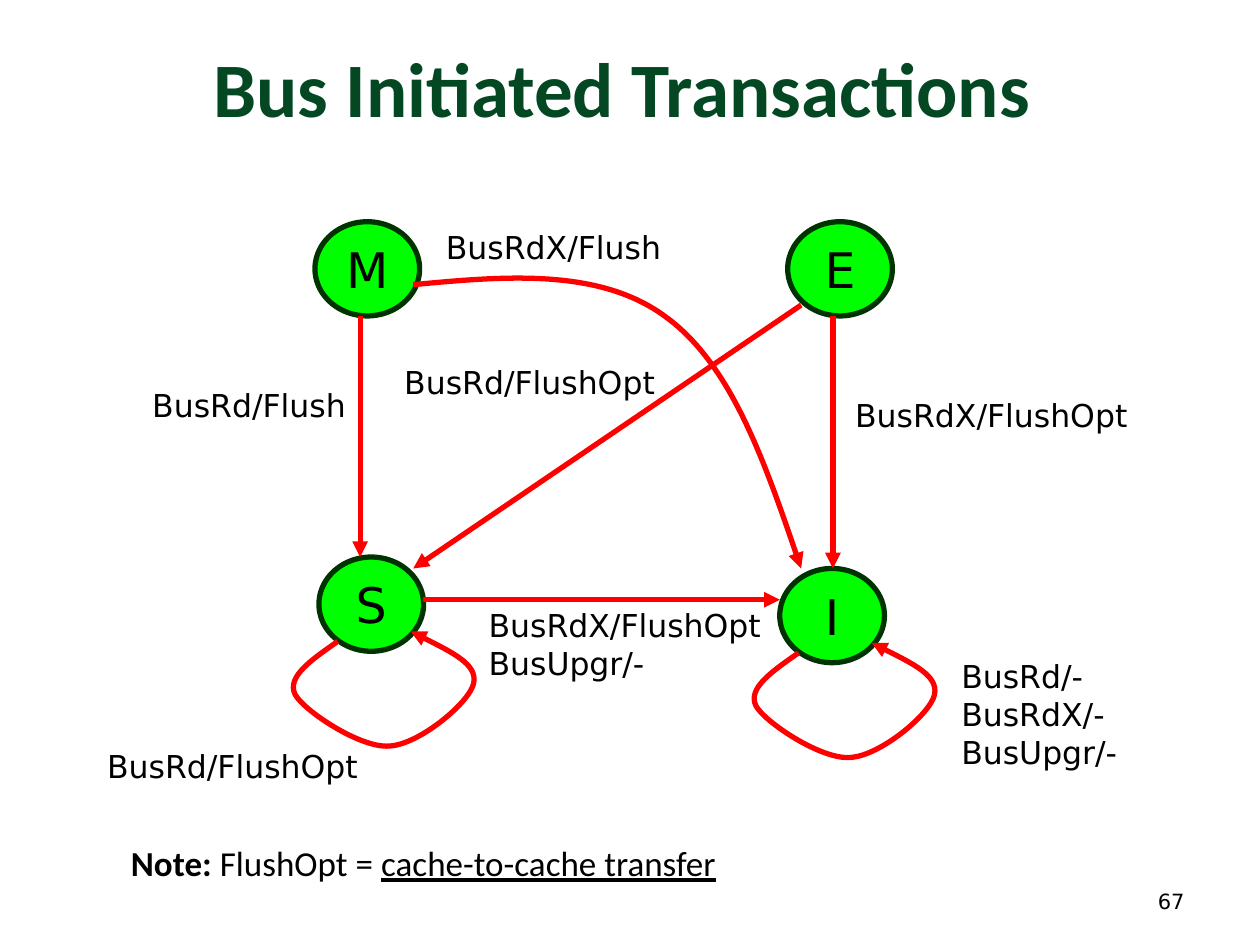
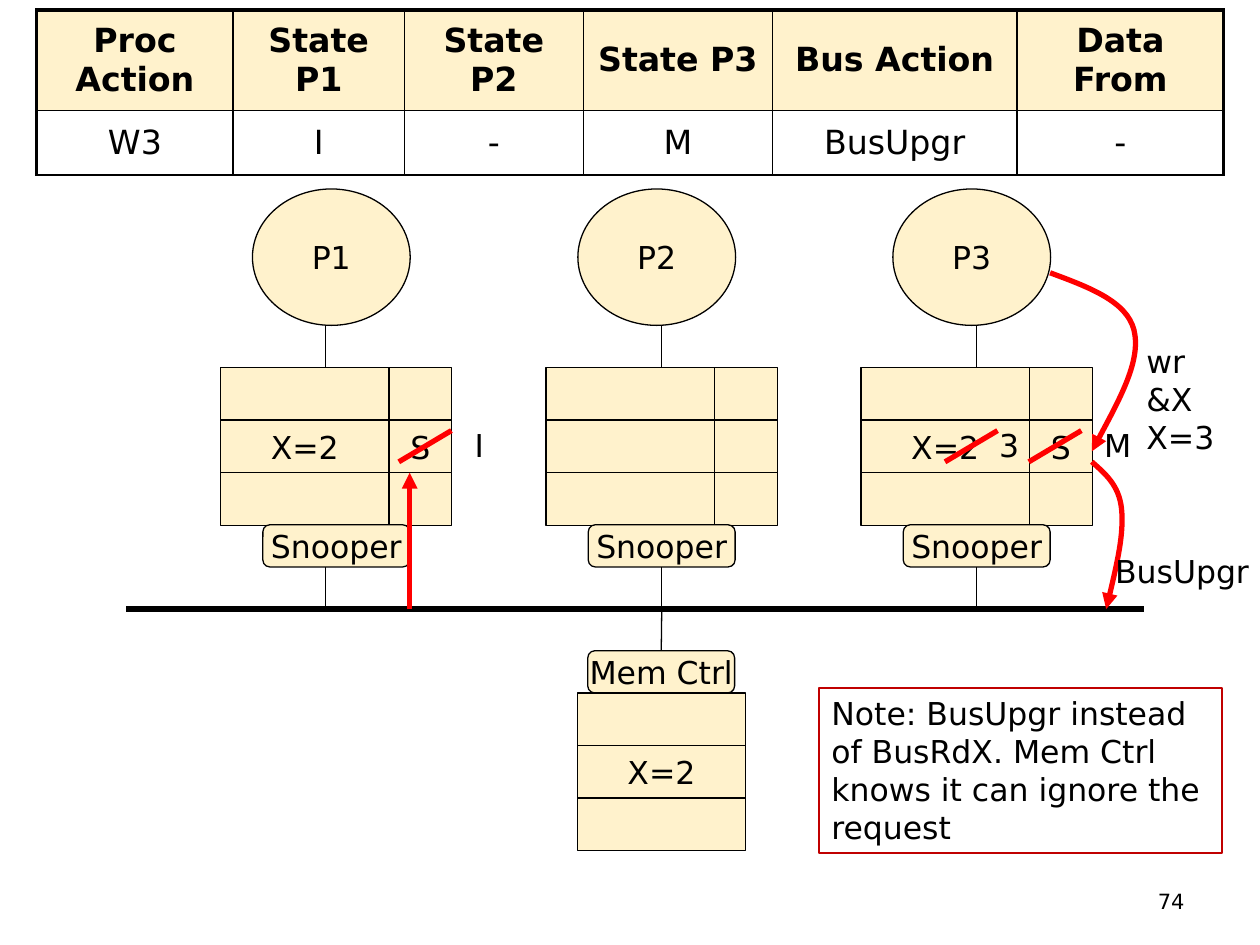
from dataclasses import dataclass

from lxml import etree
from pptx import Presentation
from pptx.dml.color import RGBColor
from pptx.enum import shapes, text
from pptx.oxml.ns import qn
from pptx.util import Cm, Pt


@dataclass(frozen=True)
class Theme:
    title: str = "044823"
    ink: str = "000000"
    state_fill: str = "00FF00"
    state_edge: str = "003300"
    signal: str = "FF0000"
    cream: str = "FFF2CC"
    note_edge: str = "C00000"
    title_font: str = "Calibri"
    font: str = "DejaVu Sans"
    title_size: int = 44
    state_size: int = 28
    remark_size: int = 20
    table_size: int = 19
    label_size: int = 18
    page_size: int = 12
    thin: float = 0.75
    bold_line: float = 3


T = Theme()
rgb = RGBColor.from_string
OVAL, RECT = shapes.MSO_SHAPE.OVAL, shapes.MSO_SHAPE.RECTANGLE
ROUND = shapes.MSO_SHAPE.ROUNDED_RECTANGLE
LEFT, CENTER, RIGHT = text.PP_ALIGN.LEFT, text.PP_ALIGN.CENTER, text.PP_ALIGN.RIGHT
LINE_STEP = 0.76  # height of one more line in a label


def put(slide, words, left, top, width, height=None, kind=None, size=T.label_size,
        align=LEFT, fill=None, edge=T.ink, weight=T.thin):
    """Place a label, or a preset shape when kind is given."""
    if height is None:
        height = 1.02 + LINE_STEP * words.count("\n")
    area = [Cm(v) for v in (left, top, width, height)]
    if kind is None:
        item = slide.shapes.add_textbox(*area)
    else:
        item = slide.shapes.add_shape(kind, *area)
        item.shadow.inherit = False
        item.line.color.rgb = rgb(edge)
        item.line.width = Pt(weight)
        if fill:
            item.fill.solid()
            item.fill.fore_color.rgb = rgb(fill)
        else:
            item.fill.background()
    frame = item.text_frame
    frame.text = words
    frame.word_wrap = False
    frame.vertical_anchor = text.MSO_ANCHOR.TOP if align == LEFT else text.MSO_ANCHOR.MIDDLE
    if align == LEFT:
        frame.auto_size = text.MSO_AUTO_SIZE.SHAPE_TO_FIT_TEXT
    for paragraph in frame.paragraphs:
        paragraph.alignment = align
        paragraph.font.name = T.font
        for run in paragraph.runs:
            run.font.name, run.font.size = T.font, Pt(size)
            run.font.color.rgb = rgb(T.ink)
    return item


def draw(slide, points, colour=T.signal, weight=T.bold_line, arrow=True):
    """Join two points by a straight line, or more as a chain of Bézier curves."""
    ends = [(Cm(x), Cm(y)) for x, y in points]
    if len(ends) == 2:
        stroke = slide.shapes.add_connector(shapes.MSO_CONNECTOR.STRAIGHT, *ends[0], *ends[1])
    else:
        builder = slide.shapes.build_freeform(*ends[0])
        builder.add_line_segments(ends[1:], close=False)
        stroke = builder.convert_to_shape()
        stroke.shadow.inherit = False
        stroke.fill.background()
        # Every three segments become one cubic curve
        outline = next(stroke._element.iter(qn("a:path")))
        segments = outline.findall(qn("a:lnTo"))
        for first in range(0, len(segments), 3):
            curve = etree.SubElement(outline, qn("a:cubicBezTo"))
            for segment in segments[first:first + 3]:
                curve.append(segment[0])
                outline.remove(segment)
    stroke.line.color.rgb = rgb(colour)
    stroke.line.width = Pt(weight)
    properties = stroke._element.spPr
    if arrow:
        etree.SubElement(properties.find(qn("a:ln")), qn("a:tailEnd"), type="triangle")
    if len(ends) == 2:
        etree.SubElement(properties, qn("a:effectLst"))
    return stroke


deck = Presentation()
deck.slide_width, deck.slide_height = Cm(25.4), Cm(19.05)
protocol = deck.slides.add_slide(deck.slide_layouts[5])
example = deck.slides.add_slide(deck.slide_layouts[6])

# Page numbers
for slide, number in ((protocol, "67"), (example, "74")):
    put(slide, number, 18.21, 17.65, 5.92, size=T.page_size, align=RIGHT)

# Slide 1: title
title = protocol.shapes.title
title.left, title.top, title.width, title.height = Cm(0.48), Cm(0.15), Cm(24.13), Cm(3.18)
title.text_frame.text = "Bus Initiated Transactions"
title.text_frame.vertical_anchor = text.MSO_ANCHOR.MIDDLE
heading = title.text_frame.paragraphs[0]
heading.alignment = CENTER
heading_font = heading.runs[0].font
heading_font.name, heading_font.size, heading_font.bold = T.title_font, Pt(T.title_size), True
heading_font.color.rgb = rgb(T.title)

# States
states = {"M": (6.35, 4.47), "E": (15.88, 4.47), "S": (6.43, 11.23), "I": (15.72, 11.46)}
for state, (x, y) in states.items():
    put(protocol, state, x, y, 2.11, 1.9, OVAL, T.state_size, CENTER,
        T.state_fill, T.state_edge, T.bold_line)

# Transitions between states
transitions = [
    [(7.26, 6.38), (7.26, 11.23)],
    [(16.15, 6.15), (8.33, 11.46)],
    [(16.79, 6.38), (16.79, 11.46)],
    [(8.53, 12.09), (15.72, 12.09)],
    [(8.33, 5.74), (10.21, 5.56), (12.09, 5.41), (13.41, 6.38),
     (14.71, 7.32), (15.44, 9.37), (16.15, 11.46)],
]
for points in transitions:
    draw(protocol, points)

# Loops from a state back to itself
loop = [(0.38, 1.7), (-0.13, 2.06), (-0.66, 2.41), (-0.48, 2.77), (-0.3, 3.1),
        (0.84, 3.86), (1.42, 3.81), (2.03, 3.78), (3.05, 2.92), (3.12, 2.54),
        (3.2, 2.16), (2.51, 1.83), (1.85, 1.5)]
for state in "SI":
    x, y = states[state]
    draw(protocol, [(x + dx, y + dy) for dx, dy in loop])

# Transition labels
for words, x, y, width in (
    ("BusRd/Flush", 2.82, 7.65, 4.47),
    ("BusRd/FlushOpt", 7.9, 7.19, 5.61),
    ("BusRdX/FlushOpt", 16.99, 7.85, 6.12),
    ("BusRdX/Flush", 8.74, 4.47, 4.9),
    ("BusRdX/FlushOpt\nBusUpgr/-", 9.6, 12.09, 6.07),
    ("BusRd/FlushOpt", 1.91, 14.94, 5.61),
    ("BusRd/-\nBusRdX/-\nBusUpgr/-", 19.13, 13.13, 3.78),
):
    put(protocol, words, x, y, width)

# Remark on FlushOpt
remark = put(protocol, "", 2.39, 16.84, 12.4, 1.12).text_frame.paragraphs[0]
for words, bold, underline in (("Note: ", True, False), ("FlushOpt = ", False, False),
                               ("cache-to-cache transfer", False, True)):
    run = remark.add_run()
    run.text = words
    run.font.name, run.font.size = T.title_font, Pt(T.remark_size)
    run.font.bold, run.font.underline = bold, underline
    run.font.color.rgb = rgb(T.ink)

# Slide 2: the bus, with processors, caches and snoopers above it
BUS_Y, ROW, DATA, STATE = 12.28, 1.06, 3.39, 1.27
CACHE_TOP, SNOOPER_TOP, STEM_TOP = 7.41, 10.58, 6.56
unit = dict(align=CENTER, fill=T.cream)
wire = dict(colour=T.ink, weight=T.thin, arrow=False)
draw(example, [(2.54, BUS_Y), (23.07, BUS_Y)], T.ink, 3.25, False)
for processor, left, stem, data, state in (
    ("P1", 4.45, 6.56, "X=2", "S"), ("P2", 11.01, 13.34, "", ""),
    ("P3", 17.36, 19.69, "X=2", "S"),
):
    put(example, processor, left + 0.64, 3.81, 3.18, 2.75, OVAL, **unit)
    draw(example, [(stem, STEM_TOP), (stem, CACHE_TOP)], **wire)
    for row in range(3):
        y = CACHE_TOP + row * ROW
        put(example, data if row == 1 else "", left, y, DATA, ROW, RECT, **unit)
        put(example, state if row == 1 else "", left + DATA, y, STATE, ROW, RECT, **unit)
    snooper = put(example, "Snooper", left + 0.85, SNOOPER_TOP, 2.96, 0.85, ROUND, **unit)
    link = draw(example, [(stem, SNOOPER_TOP + 0.85), (stem, BUS_Y)], **wire)
    if processor != "P1":
        link.begin_connect(snooper, 2)

# Memory and its controller below the bus
controller = put(example, "Mem Ctrl", 11.85, 13.12, 2.96, 0.85, ROUND, **unit)
draw(example, [(13.34, BUS_Y), (13.34, 13.12)], **wire).end_connect(controller, 0)
for row, data in enumerate(("", "X=2", "")):
    put(example, data, 11.64, 13.97 + row * ROW, DATA, ROW, RECT, **unit)

# Write by P3, upgrade on the bus, invalidation at P1
draw(example, [(21.17, 5.5), (21.95, 5.79), (22.71, 6.07), (22.86, 6.65),
               (23.01, 7.26), (22.5, 8.18), (22.01, 9.1)])
draw(example, [(22.01, 9.31), (22.28, 9.55), (22.56, 9.78), (22.61, 10.26),
               (22.66, 10.77), (22.48, 11.53), (22.3, BUS_Y)])
draw(example, [(8.26, BUS_Y), (8.26, 9.53)])
for x in (8.04, 19.05, 20.74):
    draw(example, [(x, 9.31), (x + 1.06, 8.68)], arrow=False)
for words, x, y, width in (
    ("wr &X\nX=3", 22.86, 6.78, 2.41), ("BusUpgr", 22.23, 11, 3.2),
    ("I", 9.32, 8.46, 0.79), ("M", 22.01, 8.46, 1.04), ("3", 19.89, 8.46, 0.91),
):
    put(example, words, x, y, width)

# Note on the upgrade
put(example, "Note: BusUpgr instead\nof BusRdX. Mem Ctrl\nknows it can ignore the\nrequest",
    16.51, 13.87, 8.13, 3.33, RECT, edge=T.note_edge, weight=1)

# Table of the step
columns = (3.96, 3.45, 3.61, 3.81, 4.93, 4.17)
heights = (2.03, 1.3)
entries = (("Proc Action", "State P1", "State P2", "State P3", "Bus Action", "Data From"),
           ("W3", "I", "-", "M", "BusUpgr", "-"))
step = example.shapes.add_table(2, 6, Cm(0.74), Cm(0.2), Cm(sum(columns)), Cm(sum(heights))).table
for column, width in zip(step.columns, columns):
    column.width = Cm(width)
for r, (row, height) in enumerate(zip(step.rows, heights)):
    row.height = Cm(height)
    for c, cell in enumerate(row.cells):
        cell.text_frame.text = entries[r][c]
        cell.vertical_anchor = text.MSO_ANCHOR.MIDDLE
        paragraph = cell.text_frame.paragraphs[0]
        paragraph.alignment = CENTER
        font = paragraph.runs[0].font
        font.name, font.size, font.bold = T.font, Pt(T.table_size), r == 0
        font.color.rgb = rgb(T.ink)
        # Heavy border on the left, right and top of the table
        heavy = {"L": c == 0, "R": c == 5, "T": r == 0, "B": False}
        for side, is_heavy in heavy.items():
            border = etree.SubElement(cell._tc.get_or_add_tcPr(), qn("a:ln" + side),
                                      w=str(Pt(2.25 if is_heavy else 1)))
            ink = etree.SubElement(border, qn("a:solidFill"))
            etree.SubElement(ink, qn("a:srgbClr"), val=T.ink)
        if r == 0:
            cell.fill.solid()
            cell.fill.fore_color.rgb = rgb(T.cream)
        else:
            cell.fill.background()

deck.save("out.pptx")
